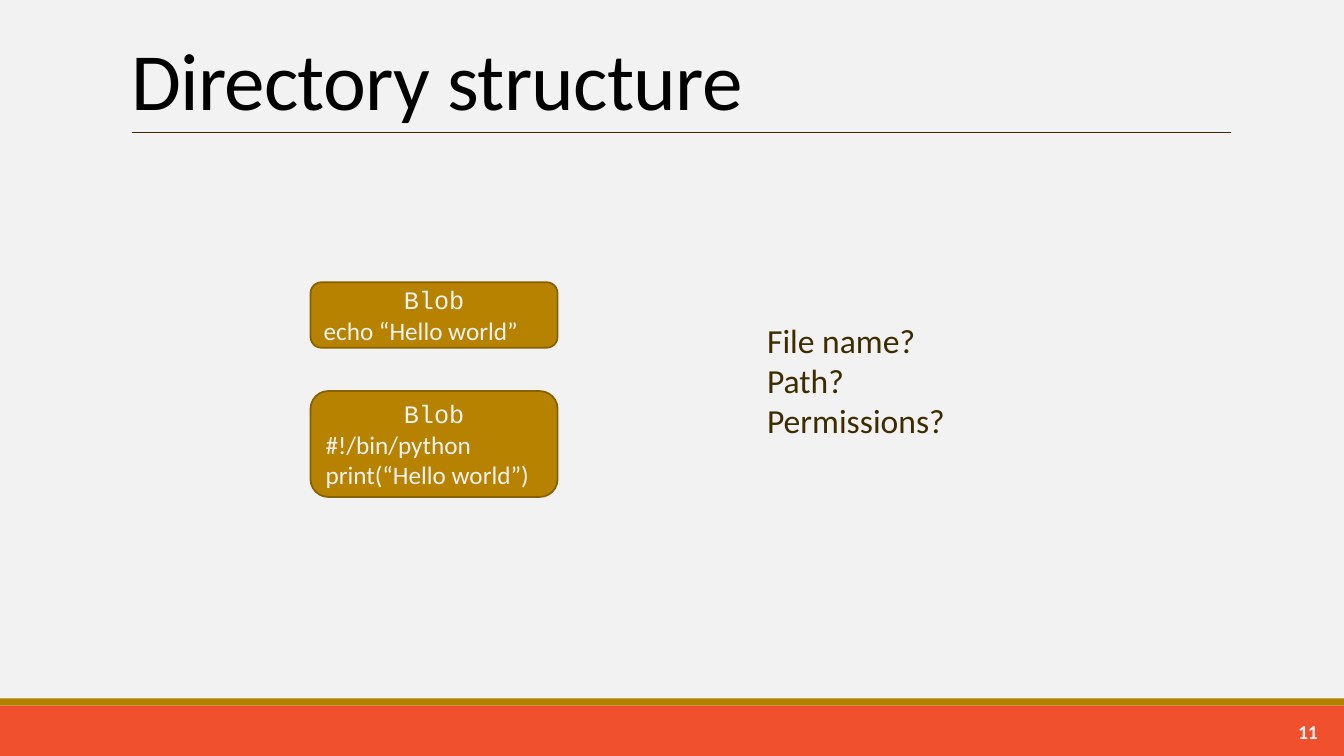
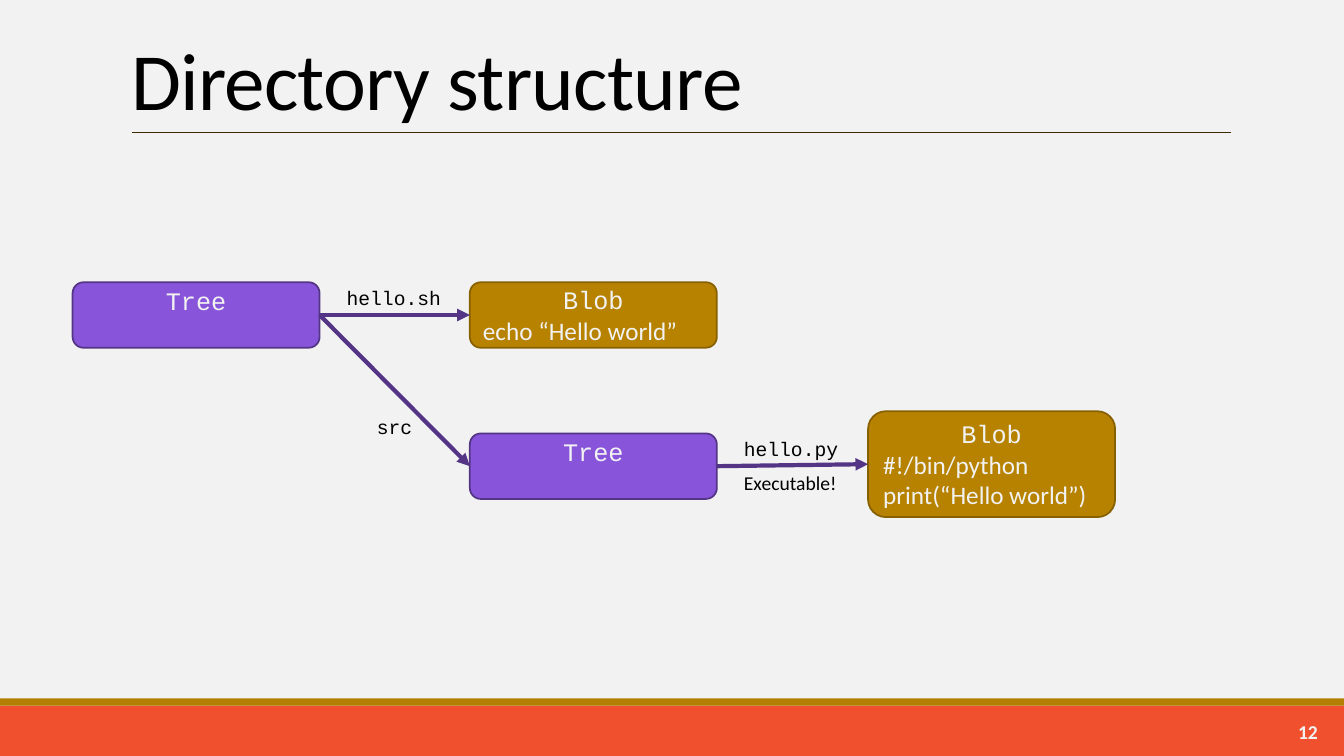
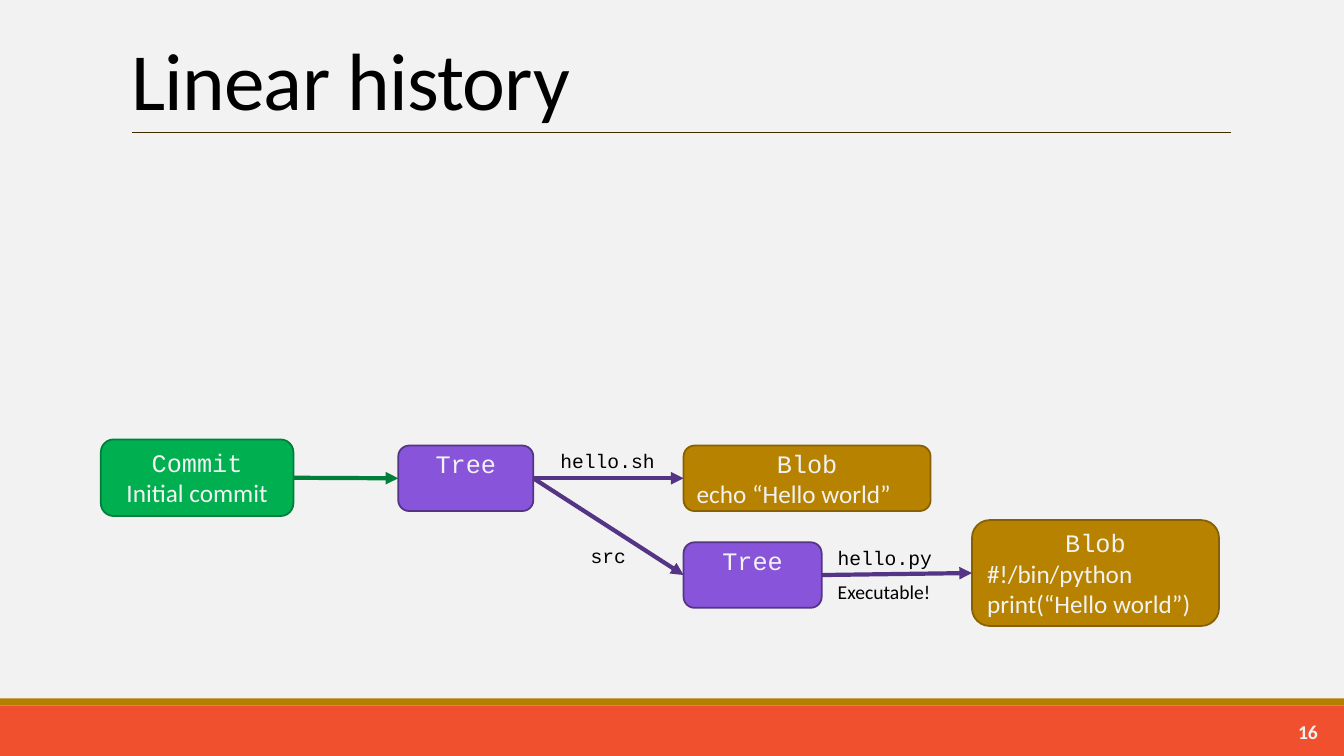
from pptx import Presentation
from pptx.dml.color import RGBColor
from pptx.enum.shapes import MSO_CONNECTOR, MSO_SHAPE
from pptx.enum.text import MSO_ANCHOR, MSO_AUTO_SIZE, PP_ALIGN
from pptx.oxml.ns import qn
from pptx.util import Inches, Pt
from lxml import etree

RECT, ROUND = MSO_SHAPE.RECTANGLE, MSO_SHAPE.ROUNDED_RECTANGLE
STRAIGHT = MSO_CONNECTOR.STRAIGHT
TOP, MIDDLE, BOTTOM = MSO_ANCHOR.TOP, MSO_ANCHOR.MIDDLE, MSO_ANCHOR.BOTTOM
LEFT, CENTER, RIGHT = PP_ALIGN.LEFT, PP_ALIGN.CENTER, PP_ALIGN.RIGHT

PAPER = RGBColor(0xF2, 0xF2, 0xF2)
BLACK = RGBColor(0, 0, 0)
BROWN = RGBColor(0x3E, 0x2C, 0x00)
ORANGE = RGBColor(0xF1, 0x50, 0x2F)
OCHRE = RGBColor(0xB2, 0x7F, 0x00)
VIOLET = RGBColor(0x54, 0x35, 0x85)
FOREST = RGBColor(0x00, 0x7F, 0x3A)
# Fill and edge of each kind of box
BLOB = (RGBColor(0xB6, 0x82, 0x00), RGBColor(0x87, 0x60, 0x00))
TREE = (RGBColor(0x88, 0x54, 0xDA), VIOLET)
COMMIT = (RGBColor(0x00, 0xB0, 0x50), FOREST)

SANS, MONO = "Calibri", "Courier New"
HEAD = {"name": SANS, "size": Pt(58), "color": BLACK}
PAGE = {"name": SANS, "size": Pt(14), "color": PAPER, "bold": True}
ASK = {"name": SANS, "size": Pt(24), "color": BROWN}
KIND = {"name": MONO, "size": Pt(18), "color": PAPER}
CODE = {**KIND, "name": SANS}
FILE = {"name": MONO, "size": Pt(14), "color": BLACK}
NOTE = {**FILE, "name": SANS}

SHELL = ["echo “Hello world”"]
PYTHON = ["#!/bin/python", "print(“Hello world”)"]
BOX_W, BOX_H, CODE_H, LABEL_H = 2.45, 0.65, 1.05, 0.34


def style(font, form):
    """Apply a dict of format values to a font."""
    for key, value in form.items():
        if key == "color":
            font.color.rgb = value
        else:
            setattr(font, key, value)


def write(frame, lines, anchor=TOP):
    """Fill a text frame with (text, format, alignment) lines."""
    frame.word_wrap = True
    frame.vertical_anchor = anchor
    for i, (text, form, align) in enumerate(lines):
        para = frame.add_paragraph() if i else frame.paragraphs[0]
        para.alignment = align
        run = para.add_run()
        run.text = text
        style(run.font, form)


def text(slide, at, lines, anchor=TOP):
    """Add a text box and return its frame."""
    frame = slide.shapes.add_textbox(*map(Inches, at)).text_frame
    write(frame, lines, anchor)
    return frame


def block(slide, kind, at, fill, edge=None):
    """Add a filled shape, with an edge if one is given."""
    shape = slide.shapes.add_shape(kind, *map(Inches, at))
    shape.shadow.inherit = False
    shape.fill.solid()
    shape.fill.fore_color.rgb = fill
    if edge is None:
        shape.line.fill.background()
    else:
        shape.line.color.rgb = edge
        shape.line.width = Pt(1.25)
    return shape


def line(slide, start, end, color, width):
    """Add a straight line without a shadow."""
    rule = slide.shapes.add_connector(STRAIGHT, *map(Inches, start + end))
    rule.line.color.rgb = color
    rule.line.width = Pt(width)
    etree.SubElement(rule._element.spPr, qn("a:effectLst"))
    return rule


def arrow(slide, source, target, color):
    """Join the right side of one box to the left side of another."""
    link = line(slide, (0, 0), (0, 0), color, 3)
    link.begin_connect(source, 3)
    link.end_connect(target, 1)
    etree.SubElement(link.line._get_or_add_ln(), qn("a:tailEnd"), type="triangle")


def blob(slide, left, top, code):
    """Add a blob box that holds lines of code."""
    high = BOX_H if len(code) == 1 else CODE_H
    box = block(slide, ROUND, (left, top, BOX_W, high), *BLOB)
    lines = [("Blob", KIND, CENTER)] + [(row, CODE, LEFT) for row in code]
    write(box.text_frame, lines, MIDDLE)
    return box


def tree(slide, left, top, width):
    """Add a tree box with its name at the top."""
    box = block(slide, ROUND, (left, top, width, BOX_H), *TREE)
    box.text_frame.margin_top = 0
    write(box.text_frame, [("Tree", KIND, CENTER)])
    return box


def label(slide, left, top, name, form=FILE, width=1.15):
    """Add a short label beside an arrow."""
    frame = text(slide, (left, top, width, LABEL_H), [(name, form, LEFT)])
    frame.margin_right = 0


def graph(slide, root, sub, script, src, gap):
    """Draw a root tree, its shell blob and its src tree; return the root."""
    top_box, src_box = tree(slide, *root), tree(slide, *sub)
    shell = blob(slide, sub[0], root[1], SHELL)
    python = blob(slide, *script, PYTHON)
    for ends in ((top_box, shell), (top_box, src_box), (src_box, python)):
        arrow(slide, *ends, VIOLET)
    edge, mid = root[0] + root[2], root[1] + BOX_H / 2
    label(slide, edge + 0.17, mid - LABEL_H, "hello.sh")
    label(slide, edge + 0.47, src, "src", width=0.55)
    edge, mid = sub[0] + sub[2] + gap, sub[1] + BOX_H / 2
    label(slide, edge, mid - LABEL_H, "hello.py")
    label(slide, edge, mid, "Executable!", NOTE)
    return top_box


def page(deck, title, number):
    """Add a slide with the shared bands, title, rule and number."""
    slide = deck.slides.add_slide(deck.slide_layouts[5])
    block(slide, RECT, (0, 7, 13.33, 0.5), ORANGE)
    block(slide, RECT, (0, 6.93, 13.33, 0.07), OCHRE)
    line(slide, (1.31, 1.31), (12.21, 1.31), BROWN, 0.5)
    frame = slide.shapes.title.text_frame
    frame.auto_size = MSO_AUTO_SIZE.NONE
    write(frame, [(title, HEAD, LEFT)], BOTTOM)
    para = frame.paragraphs[0]
    para.line_spacing = 0.85
    para.runs[0].font._element.set("spc", "-50")
    text(slide, (11.74, 7.06, 1.43, 0.4), [(str(number), PAGE, RIGHT)], MIDDLE)
    return slide


def setup():
    """Start a deck with the shared size, background and title place."""
    deck = Presentation()
    deck.slide_width, deck.slide_height = Inches(13.33), Inches(7.5)
    back = deck.slide_master.background.fill
    back.solid()
    back.fore_color.rgb = PAPER
    title = deck.slide_layouts[5].placeholders[0]
    place = {"left": 1.2, "top": 0.25, "width": 11, "height": 1.06}
    for key, value in place.items():
        setattr(title, key, Inches(value))
    return deck


def main():
    """Build the three slides."""
    deck = setup()

    slide = page(deck, "Directory structure", 11)
    blob(slide, 3.08, 2.8, SHELL)
    blob(slide, 3.08, 3.88, PYTHON)
    asks = ("File name?", "Path?", "Permissions?")
    text(slide, (7.51, 3.12, 2.67, 1.31), [(ask, ASK, LEFT) for ask in asks])

    slide = page(deck, "Directory structure", 12)
    graph(slide, (0.72, 2.8, BOX_W), (4.66, 4.3, BOX_W), (8.61, 4.08), 4.07, 0.17)

    slide = page(deck, "Linear history", 16)
    root = graph(slide, (3.95, 4.42, 1.34), (6.78, 5.38, 1.37), (9.64, 5.16), 5.35, 0.06)
    first = block(slide, ROUND, (1, 4.36, 1.91, 0.76), *COMMIT)
    lines = [("Commit", KIND, CENTER), ("Initial commit", CODE, CENTER)]
    write(first.text_frame, lines, MIDDLE)
    arrow(slide, first, root, FOREST)

    deck.save("out.pptx")


main()
